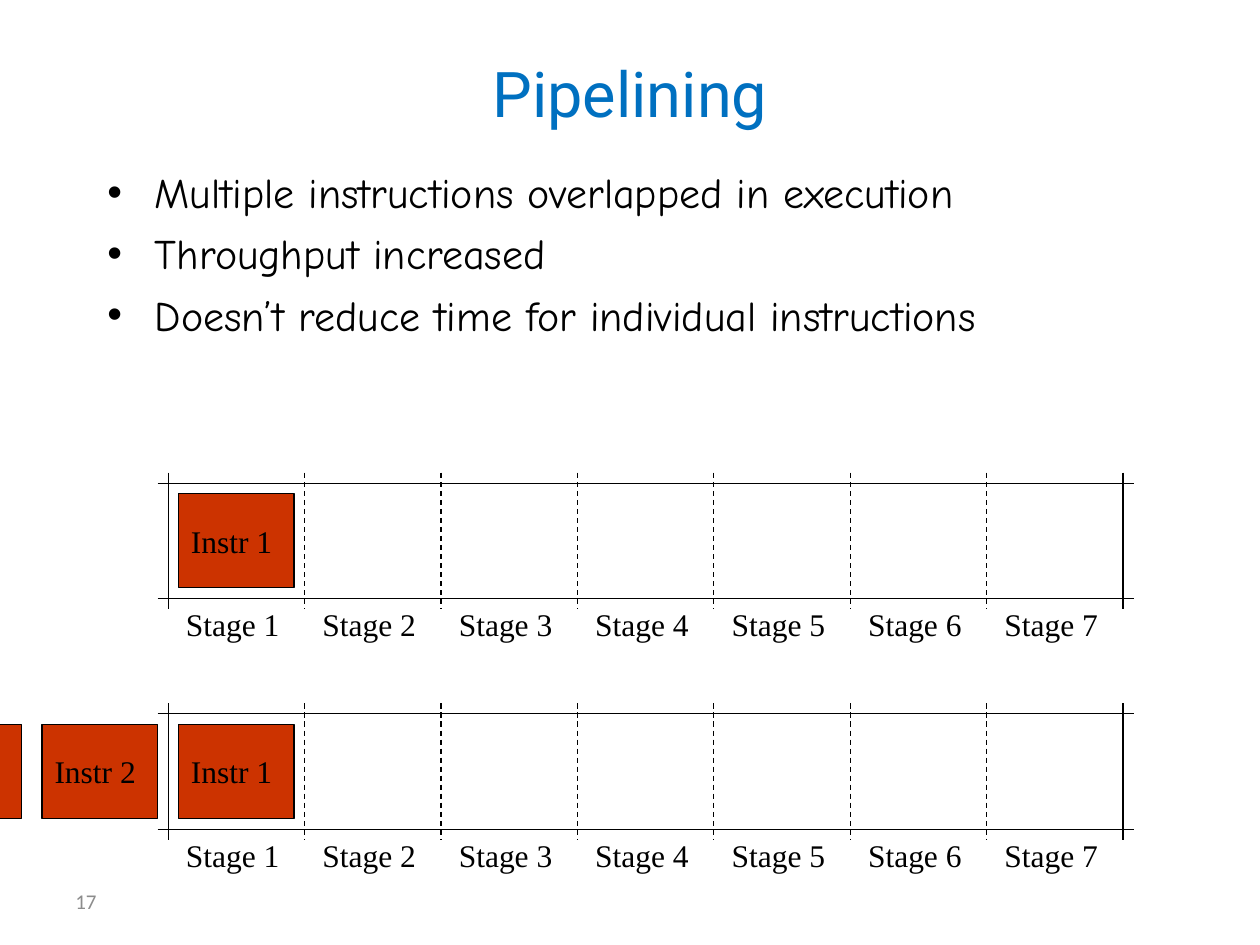
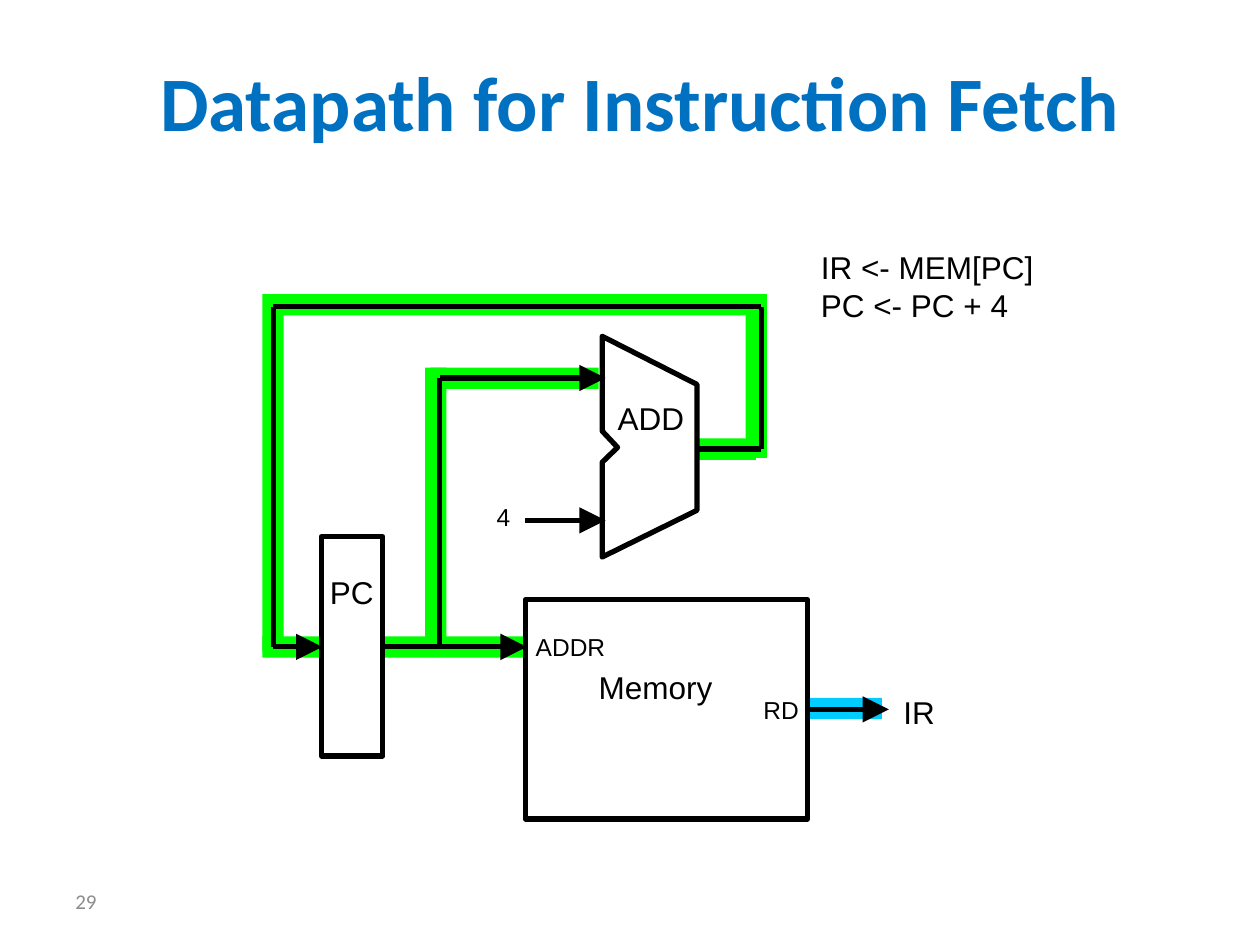
from pptx import Presentation
from pptx.dml.color import RGBColor as Rgb
from pptx.enum.dml import MSO_LINE as Dash
from pptx.enum.shapes import MSO_CONNECTOR as Conn, MSO_SHAPE as Shape
from pptx.enum.text import MSO_ANCHOR as Anchor, MSO_AUTO_SIZE as Fit, PP_ALIGN as Align
from pptx.oxml.ns import qn
from pptx.util import Cm, Pt
from lxml.etree import SubElement

COLORS = {
    "title": "0070C0", "ink": "000000", "number": "8C8C8C", "paper": "FFFFFF",
    "instr": "CC3300", "green": "00FF00", "blue": "00CCFF",
}

PIPELINE = {
    "title": "Pipelining",
    "number": "17",
    "bullets": [
        "Multiple instructions overlapped in execution",
        "Throughput increased",
        "Doesn’t reduce time for individual instructions",
    ],
    "stages": [f"Stage {n}" for n in range(1, 8)],
    "lanes": [(9.53, ["Instr 1"]), (14.18, ["Instr 1", "Instr 2", ""])],
}
LANE_X, PITCH, GAP = 3.39, 2.75, 0.21

LEFT, BRANCH, RIGHT = 5.51, 8.86, 15.35
TOP, ADD_IN, ADD_OUT, FOUR_Y, PC_Y, RD_Y = 6.18, 7.62, 9.05, 10.49, 13.04, 14.3
BAND = 0.43
DATAPATH = {
    "title": "Datapath for Instruction Fetch",
    "number": "29",
    "bands": [
        ("green", 5.29, 12.83, 1.27, BAND),
        ("green", 5.29, 5.93, BAND, 7.2),
        ("green", 15.03, 5.93, BAND, 3.3),
        ("green", 5.5, 5.93, 9.96, BAND),
        ("green", 13.97, 8.84, 1.27, BAND),
        ("green", 8.68, 7.41, 3.39, BAND),
        ("green", 8.57, 7.41, BAND, 5.84),
        ("blue", 16.3, 14.07, 1.48, BAND),
        ("green", 7.62, 12.83, 2.97, BAND),
    ],
    "blocks": [(10.59, 12.09, 5.69, 4.42), (6.48, 10.82, 1.24, 4.42)],
    "adder": [(12.14, 6.78), (12.14, 8.69), (12.45, 9.02), (12.14, 9.32),
              (12.14, 11.23), (14.05, 10.29), (14.05, 7.75)],
    "wires": [
        [(14.07, ADD_OUT), (RIGHT, ADD_OUT), (RIGHT, TOP), (LEFT, TOP), (LEFT, PC_Y), (6.5, PC_Y)],
        [(BRANCH, PC_Y), (BRANCH, ADD_IN), (12.21, ADD_IN)],
        [(7.72, PC_Y), (10.62, PC_Y)],
        [(10.59, FOUR_Y), (12.21, FOUR_Y)],
        [(16.3, RD_Y), (17.92, RD_Y)],
    ],
    "labels": [
        ("RD", 15.39, 14.02, 14), ("Memory", 12.07, 13.46, 18), ("ADDR", 10.8, 12.75, 14),
        ("PC", 6.65, 11.56, 18), ("IR", 18.21, 13.97, 18), ("4", 10.01, 10.13, 14),
        ("ADD", 12.45, 8.05, 18),
    ],
    "transfers": ["IR <- MEM[PC]", "PC <- PC + 4"],
}


def color(name):
    return Rgb.from_string(COLORS[name])


def write(shape, text, *, size, font, ink="ink", bold=False, align=Align.LEFT,
          anchor=None, inset=None, spacing=None, before=None):
    tf = shape.text_frame
    tf.word_wrap = True
    tf.auto_size = Fit.NONE
    if anchor is not None:
        tf.vertical_anchor = anchor
    if inset is not None:
        tf.margin_left = tf.margin_right = tf.margin_top = tf.margin_bottom = Cm(inset)
    for i, line in enumerate([text] if isinstance(text, str) else text):
        p = tf.add_paragraph() if i else tf.paragraphs[0]
        p.alignment = align
        if spacing:
            p.line_spacing = spacing
        if before:
            p.space_before = Pt(before)
        r = p.add_run()
        r.text = line
        r.font.size, r.font.name, r.font.bold = Pt(size), font, bold
        r.font.color.rgb = color(ink)


def place(shape, *box):
    shape.left, shape.top, shape.width, shape.height = map(Cm, box)


def textbox(s, text, box, **fmt):
    write(s.shapes.add_textbox(*map(Cm, box)), text, **fmt)


def paint(sp, fill, weight=0):
    sp.shadow.inherit = False
    sp.fill.solid()
    sp.fill.fore_color.rgb = color(fill)
    if weight:
        sp.line.color.rgb = color("ink")
        sp.line.width = Pt(weight)
    else:
        sp.line.fill.background()
    return sp


def rect(s, box, fill, weight=0):
    return paint(s.shapes.add_shape(Shape.RECTANGLE, *map(Cm, box)), fill, weight)


def line(s, start, end, weight, dashed=False, arrow=False):
    c = s.shapes.add_connector(Conn.STRAIGHT, *map(Cm, (*start, *end)))
    c.line.color.rgb = color("ink")
    c.line.width = Pt(weight)
    if dashed:
        c.line.dash_style = Dash.DASH
    if arrow:
        SubElement(c.line._get_or_add_ln(), qn("a:tailEnd"), type="triangle", w="lg", len="lg")
    SubElement(c._element.spPr, qn("a:effectLst"))


def new_slide(layout, content, box, **fmt):
    s = prs.slides.add_slide(prs.slide_layouts[layout])
    place(s.shapes.title, *box)
    write(s.shapes.title, content["title"], ink="title", align=Align.CENTER,
          anchor=Anchor.MIDDLE, **fmt)
    textbox(s, content["number"], (1.27, 17.65, 5.92, 1.02), size=12, font="Calibri",
            ink="number", anchor=Anchor.MIDDLE)
    return s


def draw_lane(s, top, instrs):
    stages = PIPELINE["stages"]
    end = LANE_X + len(stages) * PITCH
    floor = top + PITCH - GAP
    for y in (top + GAP, floor):
        line(s, (LANE_X - GAP, y), (end + GAP, y), 0.75)
    for i in range(len(stages) + 1):
        x = LANE_X + i * PITCH
        line(s, (x, top), (x, top + PITCH), 0.75, dashed=0 < i < len(stages))
    for i, instr in enumerate(instrs):
        x = LANE_X + GAP - i * PITCH
        sp = rect(s, (x, top + 2 * GAP, PITCH - 2 * GAP, 1.9), "instr", 0.75)
        if instr:
            write(sp, instr, size=18, font="Times New Roman", anchor=Anchor.MIDDLE)
    for i, stage in enumerate(stages):
        textbox(s, stage, (LANE_X + 0.11 + i * PITCH, floor, 2.84, 1.02),
                size=18, font="Times New Roman")


def draw_pipeline():
    s = new_slide(1, PIPELINE, (1.27, 0.76, 22.86, 2.21), size=36, font="Roboto")
    body = s.placeholders[1]
    place(body, 1.91, 3.18, 21.59, 3.89)
    write(body, PIPELINE["bullets"], size=24, font="Comic Neue", spacing=1.05, before=4.8)
    for top, instrs in PIPELINE["lanes"]:
        draw_lane(s, top, instrs)


def draw_datapath():
    s = new_slide(5, DATAPATH, (2.11, 0.43, 21.59, 3.18), size=44, font="Calibri", bold=True)
    for fill, *box in DATAPATH["bands"]:
        rect(s, box, fill)
    for box in DATAPATH["blocks"]:
        rect(s, box, "paper", 3)
    first, *rest = [tuple(map(Cm, point)) for point in DATAPATH["adder"]]
    outline = s.shapes.build_freeform(*first)
    outline.add_line_segments(rest, close=True)
    paint(outline.convert_to_shape(), "paper", 3)
    for wire in DATAPATH["wires"]:
        for start, end in zip(wire, wire[1:]):
            line(s, start, end, 3, arrow=end == wire[-1])
    for text, x, y, size in DATAPATH["labels"]:
        width = 0.35 + len(text) * size * 0.026
        textbox(s, text, (x, y, width, size * 0.05), size=size, font="Arial", inset=0)
    textbox(s, DATAPATH["transfers"], (16.3, 4.88, 5.2, 1.78), size=18, font="Arial",
            anchor=Anchor.MIDDLE)


prs = Presentation()
prs.slide_width, prs.slide_height = Cm(25.4), Cm(19.05)
draw_pipeline()
draw_datapath()
prs.save("out.pptx")
